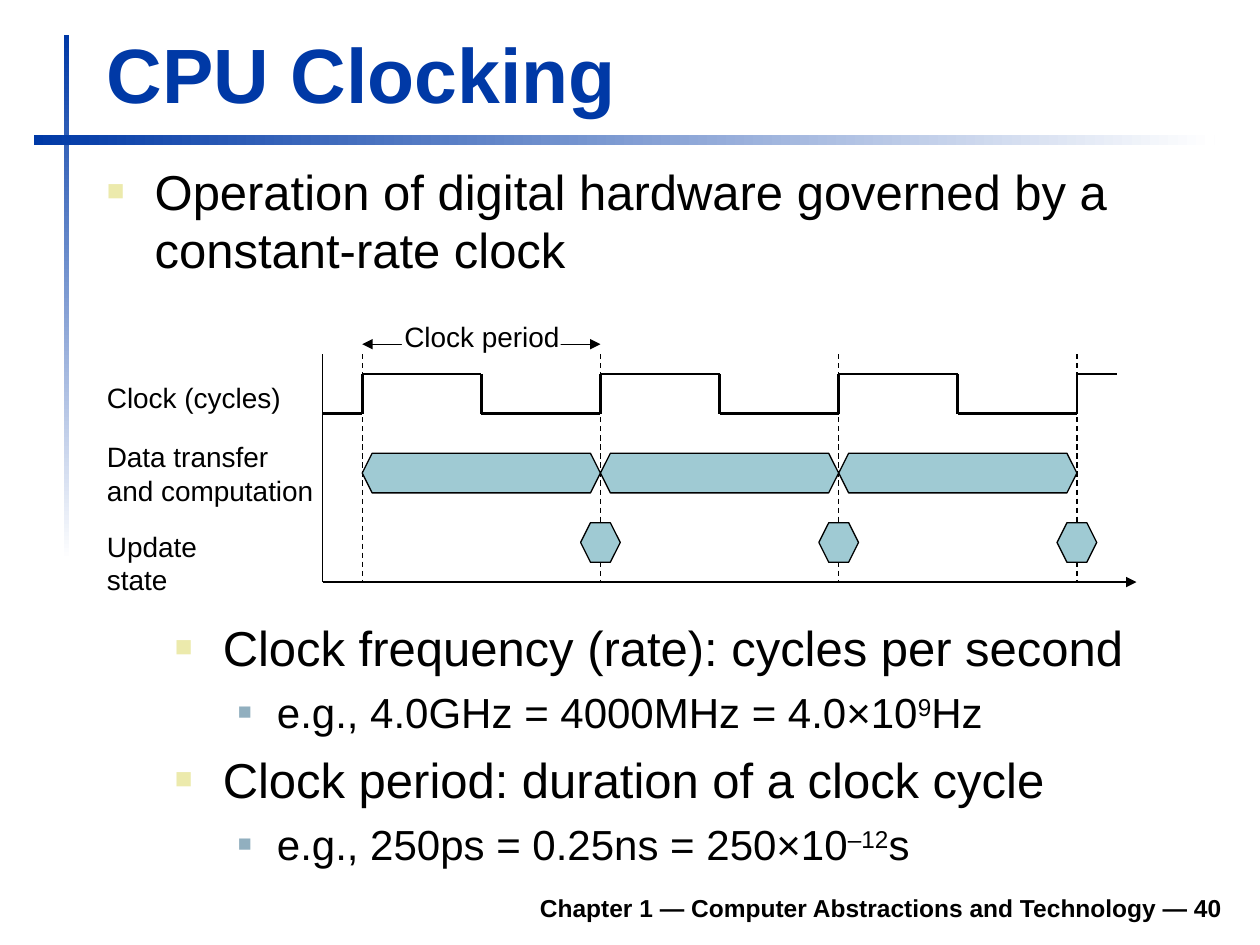
from dataclasses import dataclass
from itertools import pairwise

from pptx import Presentation
from pptx.dml.color import RGBColor
from pptx.enum.dml import MSO_LINE
from pptx.enum.shapes import MSO_CONNECTOR, MSO_SHAPE
from pptx.enum.text import MSO_ANCHOR, PP_ALIGN
from pptx.oxml.ns import qn
from pptx.util import Inches, Pt
from lxml.etree import SubElement


@dataclass(frozen=True)
class Theme:
    font: str = "Arial"
    blue: str = "0039A6"
    white: str = "FFFFFF"
    black: str = "000000"
    teal: str = "9FCAD3"
    bullet_colors: tuple = ("ECEAAC", "91AFBF")
    bullet_percents: tuple = (60, 55)
    bullet_sizes: tuple = (28, 24)
    bullet_gaps: tuple = (7, 6)
    bullet_margins: tuple = (0.38, 0.81)
    bullet_hangs: tuple = (0.38, 0.31)
    title_size: int = 44
    label_size: int = 16
    footer_size: int = 14
    thin: float = 0.75
    thick: float = 1.5


THEME = Theme()
WIDTH, HEIGHT = Inches(10), Inches(7.5)


def share(left, top, width, height):
    """Turn percentages of the slide into a box."""
    return (round(WIDTH * left / 100), round(HEIGHT * top / 100),
            round(WIDTH * width / 100), round(HEIGHT * height / 100))


def write(paragraph, text, size, color=THEME.black, bold=False,
          align=PP_ALIGN.LEFT):
    """Fill a paragraph; text between carets is superscript."""
    paragraph.alignment = align
    base, *rest = text.split("^")
    paragraph.text = base
    for index, piece in enumerate(rest):
        run = paragraph.add_run()
        run.text = piece
        if index % 2 == 0:
            run._r.get_or_add_rPr().set("baseline", "30000")
    for run in paragraph.runs:
        run.font.name = THEME.font
        run.font.size = Pt(size)
        run.font.bold = bold
        run.font.color.rgb = RGBColor.from_string(color)


def add_frame(slide, box, wrap=True, anchor=MSO_ANCHOR.TOP):
    frame = slide.shapes.add_textbox(*box).text_frame
    frame.word_wrap = wrap
    frame.vertical_anchor = anchor
    return frame


def add_text(slide, box, text, size, wrap=True, anchor=MSO_ANCHOR.TOP, **style):
    frame = add_frame(slide, box, wrap, anchor)
    write(frame.paragraphs[0], text, size, **style)


def add_bullets(slide, box, items):
    """Place (level, text) items as a two-level bulleted list."""
    frame = add_frame(slide, box)
    for index, (level, text) in enumerate(items):
        paragraph = frame.add_paragraph() if index else frame.paragraphs[0]
        paragraph.level = level
        paragraph.space_before = Pt(THEME.bullet_gaps[level] if index else 0)
        properties = paragraph._p.get_or_add_pPr()
        properties.set("marL", str(Inches(THEME.bullet_margins[level])))
        properties.set("indent", str(-Inches(THEME.bullet_hangs[level])))
        color = SubElement(properties, qn("a:buClr"))
        SubElement(color, qn("a:srgbClr"), val=THEME.bullet_colors[level])
        SubElement(properties, qn("a:buSzPct"),
                   val=str(THEME.bullet_percents[level] * 1000))
        SubElement(properties, qn("a:buFont"), typeface=THEME.font)
        SubElement(properties, qn("a:buChar"), char="■")
        write(paragraph, text, THEME.bullet_sizes[level])


def add_bar(slide, box, angle=None):
    """Place a borderless bar: a fading one if an angle is given, else white."""
    shape = slide.shapes.add_shape(MSO_SHAPE.RECTANGLE, *box)
    shape.shadow.inherit = False
    shape.line.fill.background()
    if angle is None:
        shape.fill.solid()
        shape.fill.fore_color.rgb = RGBColor.from_string(THEME.white)
        return
    shape.fill.gradient()
    shape.fill.gradient_angle = angle
    for stop, color in zip(shape.fill.gradient_stops, (THEME.blue, THEME.white)):
        stop.color.rgb = RGBColor.from_string(color)


def add_line(slide, start, end, width=THEME.thin, dash=None, arrows=()):
    line = slide.shapes.add_connector(MSO_CONNECTOR.STRAIGHT, *start, *end)
    line.line.color.rgb = RGBColor.from_string(THEME.black)
    line.line.width = Pt(width)
    if dash:
        line.line.dash_style = dash
    for arrow in arrows:
        SubElement(line.line._get_or_add_ln(), qn(f"a:{arrow}"), type="triangle")
    SubElement(line._element.spPr, qn("a:effectLst"))


def add_hexagon(slide, points):
    builder = slide.shapes.build_freeform(*points[0], scale=1.0)
    builder.add_line_segments(points[1:], close=True)
    shape = builder.convert_to_shape()
    shape.shadow.inherit = False
    shape.fill.solid()
    shape.fill.fore_color.rgb = RGBColor.from_string(THEME.teal)
    shape.line.color.rgb = RGBColor.from_string(THEME.black)
    shape.line.width = Pt(THEME.thin)


def add_timing_diagram(slide, box):
    """Draw the clock on a grid of 41 columns and 11.5 rows."""
    left, top, width, height = box
    columns, rows, period = 41, 11.5, 12
    edges = [2 + period * index for index in range(4)]
    high, low = 1, 3

    def at(column, row):
        return (round(left + width * column / columns),
                round(top + height * row / rows))

    def hexagon(start, end, row):
        add_hexagon(slide, [at(start, row + 1), at(start + 0.5, row),
                            at(end - 0.5, row), at(end, row + 1),
                            at(end - 0.5, row + 2), at(start + 0.5, row + 2)])

    # Period arrow with a gap for its label, and clock edges
    add_line(slide, at(edges[0], -0.5), at(edges[1], -0.5),
             arrows=("headEnd", "tailEnd"))
    gap_left, gap_top = at(4, -1)
    gap_right, gap_bottom = at(12, 0)
    add_bar(slide, (gap_left, gap_top, gap_right - gap_left, gap_bottom - gap_top))
    for edge in edges:
        add_line(slide, at(edge, 0), at(edge, rows), dash=MSO_LINE.DASH)

    # Clock wave
    wave = [(0, low)]
    for edge in edges:
        middle = edge + period / 2
        wave += [(edge, low), (edge, high), (middle, high), (middle, low)]
    wave[-2:] = [(edges[-1] + 2, high)]
    for start, end in pairwise(wave):
        add_line(slide, at(*start), at(*end), THEME.thick)

    # Data transfer spans and state updates
    for start, end in pairwise(edges):
        hexagon(start, end, 5)
        hexagon(end - 1, end + 1, 8.5)

    # Axes
    add_line(slide, at(0, rows), at(columns, rows), arrows=("tailEnd",))
    add_line(slide, at(0, rows), at(0, 0))


def add_diagram_labels(slide):
    labels = [
        (share(7.5, 39.6, 15.8, 4.93), "Clock (cycles)", PP_ALIGN.LEFT),
        (share(7.5, 45.87, 18.4, 8.53), "Data transfer\nand computation",
         PP_ALIGN.LEFT),
        (share(7.5, 55.33, 14.5, 4.93), "Update state", PP_ALIGN.LEFT),
        (share(31.1, 33.2, 14.3, 4.93), "Clock period", PP_ALIGN.CENTER),
    ]
    for box, text, align in labels:
        add_text(slide, box, text, THEME.label_size, wrap=False, align=align)


def add_decoration(slide):
    add_bar(slide, share(5.1, 3.73, 0.4, 55.6), angle=270)
    add_bar(slide, share(2.7, 14.27, 93.7, 1.07), angle=0)


def main():
    presentation = Presentation()
    presentation.slide_width, presentation.slide_height = WIDTH, HEIGHT
    slide = presentation.slides.add_slide(presentation.slide_layouts[6])

    # Frame, title and footer
    add_decoration(slide)
    add_text(slide, share(7.5, 2.13, 90.3, 11.07), "CPU Clocking",
             THEME.title_size, anchor=MSO_ANCHOR.BOTTOM,
             color=THEME.blue, bold=True)
    add_text(slide, share(18.5, 93.07, 79.5, 5.2),
             "Chapter 1 — Computer Abstractions and Technology — 40",
             THEME.footer_size, anchor=MSO_ANCHOR.BOTTOM,
             bold=True, align=PP_ALIGN.RIGHT)

    # Body text and diagram
    add_bullets(slide, share(7.5, 16.4, 90.4, 17.87), [
        (0, "Operation of digital hardware governed by a constant-rate clock"),
    ])
    add_timing_diagram(slide, share(25.6, 37.47, 64.6, 24.13))
    add_diagram_labels(slide)
    add_bullets(slide, share(12.9, 64.67, 85, 28.4), [
        (0, "Clock frequency (rate): cycles per second"),
        (1, "e.g., 4.0GHz = 4000MHz = 4.0×10^9^Hz"),
        (0, "Clock period: duration of a clock cycle"),
        (1, "e.g., 250ps = 0.25ns = 250×10^–12^s"),
    ])
    presentation.save("out.pptx")


if __name__ == "__main__":
    main()
